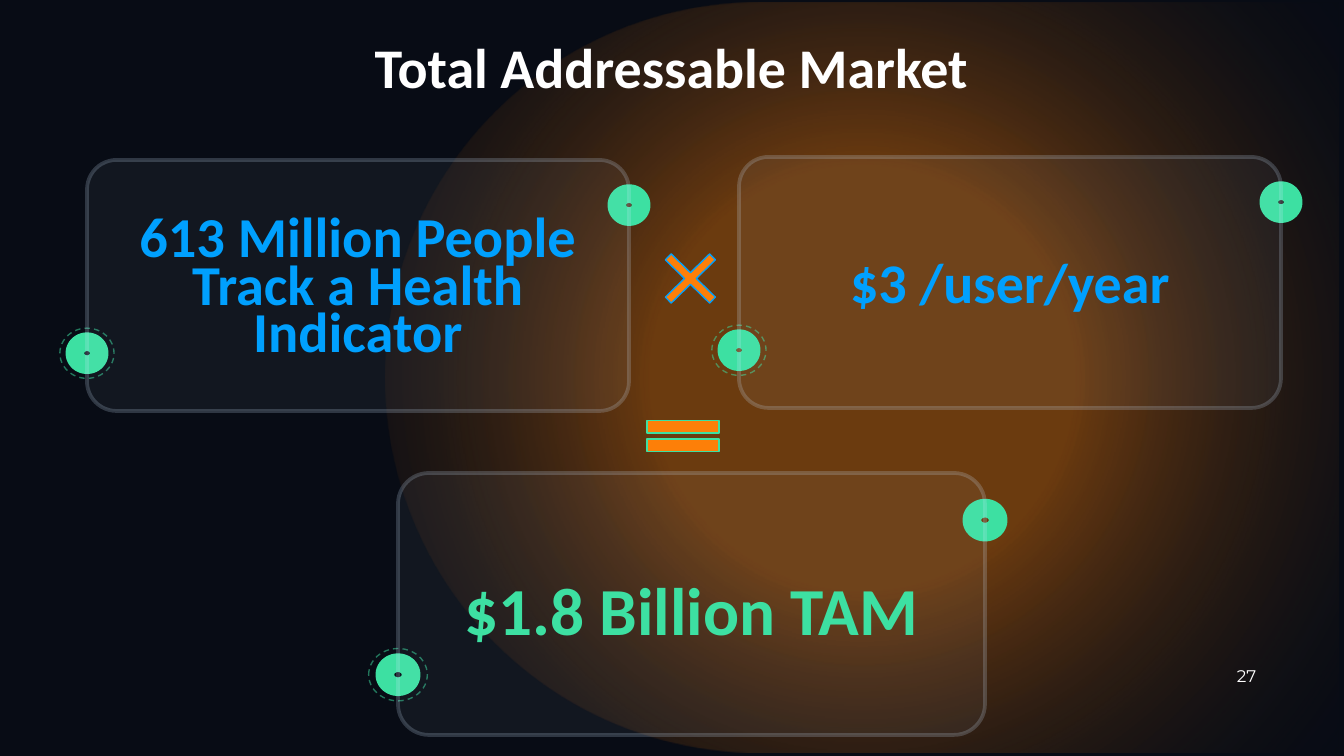
from dataclasses import dataclass
from typing import Optional

from pptx import Presentation
from pptx.dml.color import RGBColor
from pptx.enum.dml import MSO_LINE_DASH_STYLE as Dash
from pptx.enum.shapes import MSO_SHAPE as Shape
from pptx.enum.text import MSO_ANCHOR as Anchor, MSO_AUTO_SIZE as AutoSize, PP_ALIGN as Align
from pptx.oxml import parse_xml
from pptx.oxml.ns import nsdecls, qn
from pptx.util import Emu, Pt

WIDTH, HEIGHT = 1344, 756
SCALE = 9144000 / WIDTH
NIGHT, ORANGE, MINT, BLUE, ICE, WHITE = "080C15", "FD7F08", "3DE0A2", "00A0FE", "CDE6FF", "FFFFFF"


@dataclass
class Card:
    left: int
    top: int
    width: int
    height: int
    text_top: int
    text: str
    size: float
    color: str
    spacing: float
    placeholder: int


CARDS = [
    Card(87, 160, 542, 251, 219, "613 Million People Track a Health Indicator", 30.2, BLUE, 0.7, 1),
    Card(739, 157, 542, 251, 213, "$3 /user/year", 30, BLUE, 0.9, 3),
    Card(398, 473, 587, 262, 539, "$1.8 Billion TAM", 36, MINT, 0.9, 2),
]


def px(length: float) -> Emu:
    return Emu(round(length * SCALE))


def color(value: str) -> RGBColor:
    return RGBColor.from_string(value)


def set_alpha(parent, percent: int) -> None:
    node = parent.find(".//" + qn("a:srgbClr"))
    node.append(parse_xml(f'<a:alpha {nsdecls("a")} val="{percent * 1000}"/>'))


def draw(shapes, kind, left: float, top: float, width: float, height: float,
         fill: Optional[str] = None, line: Optional[str] = None, weight: float = 0.75,
         fill_alpha: int = 100, line_alpha: int = 100):
    shape = shapes.add_shape(kind, px(left), px(top), px(width), px(height))
    shape.shadow.inherit = False
    if fill:
        shape.fill.solid()
        shape.fill.fore_color.rgb = color(fill)
        if fill_alpha < 100:
            set_alpha(shape.element.spPr.find(qn("a:solidFill")), fill_alpha)
    else:
        shape.fill.background()
    if line:
        shape.line.color.rgb = color(line)
        shape.line.width = Pt(weight)
        if line_alpha < 100:
            set_alpha(shape.element.spPr.find(qn("a:ln")), line_alpha)
    else:
        shape.line.fill.background()
    return shape


def draw_glow(page) -> None:
    glow = draw(page.shapes, Shape.ROUND_2_SAME_RECTANGLE, 487, -99, 750, 953)
    glow.adjustments[0] = 0.5
    glow.adjustments[1] = 0
    glow.rotation = 270
    stops = "".join(
        f'<a:gs pos="{at * 1000}"><a:srgbClr val="{tone}"><a:alpha val="{alpha * 1000}"/></a:srgbClr></a:gs>'
        for at, tone, alpha in [(0, ORANGE, 40), (35, ORANGE, 40), (100, NIGHT, 6)]
    )
    gradient = parse_xml(
        f'<a:gradFill {nsdecls("a")} rotWithShape="1"><a:gsLst>{stops}</a:gsLst>'
        '<a:path path="circle"><a:fillToRect l="50000" t="50000" r="50000" b="50000"/></a:path></a:gradFill>'
    )
    properties = glow.element.spPr
    properties.replace(properties.find(qn("a:noFill")), gradient)


def write(page, box, text: str, left: float, top: float, width: float, height: float,
          size: float, tone: str, font: str = "Calibri", bold: bool = True, spacing: float = 0.9,
          anchor=Anchor.MIDDLE, insets: tuple[int, int, int, int] = (0, 0, 0, 0)) -> None:
    box.left, box.top, box.width, box.height = px(left), px(top), px(width), px(height)
    page.shapes.element.append(box.element)
    frame = box.text_frame
    frame.word_wrap = True
    frame.auto_size = AutoSize.NONE
    frame.vertical_anchor = anchor
    frame.margin_left, frame.margin_top, frame.margin_right, frame.margin_bottom = map(px, insets)
    frame.text = text
    para = frame.paragraphs[0]
    properties = para._p.get_or_add_pPr()
    properties.set("marL", "0")
    properties.set("indent", "0")
    properties.append(parse_xml(f'<a:buNone {nsdecls("a")}/>'))
    para.alignment = Align.CENTER
    para.line_spacing = spacing
    para.space_before = Pt(0)
    para.font.name = font
    para.font.size = Pt(size)
    para.font.bold = bold
    para.font.color.rgb = color(tone)


def draw_node(shapes, card: Card, x: float, y: float, ringed: bool) -> None:
    width, height = card.width * 0.045, card.height * 0.092
    draw(shapes, Shape.OVAL, x - width / 2, y - height / 2, width, height, line=MINT, weight=10)
    if ringed:
        width, height = card.width * 0.1, card.height * 0.2
        ring = draw(shapes, Shape.OVAL, x - width / 2, y - height / 2, width, height,
                    line=MINT, line_alpha=50)
        ring.line.dash_style = Dash.DASH


def draw_card(page, card: Card) -> None:
    pair = page.shapes.add_group_shape()
    draw_node(pair.shapes, card, card.left, card.top + card.height * 0.77, True)
    draw_node(page.shapes, card, card.left + card.width, card.top + card.height * 0.18, False)
    panel = draw(page.shapes, Shape.ROUNDED_RECTANGLE, card.left, card.top, card.width, card.height,
                 ICE, ICE, 2, 5, 20)
    panel.adjustments[0] = 0.118
    write(page, page.placeholders[card.placeholder], card.text,
          card.left, card.text_top, card.width, card.height * 0.455,
          card.size, card.color, spacing=card.spacing, insets=(20, 30, 20, 0))


def main() -> None:
    deck = Presentation()
    deck.slide_width, deck.slide_height = px(WIDTH), px(HEIGHT)
    page = deck.slides.add_slide(deck.slide_layouts[4])
    page.background.fill.solid()
    page.background.fill.fore_color.rgb = color(NIGHT)
    spare = page.placeholders[4].element
    spare.getparent().remove(spare)

    draw_glow(page)
    write(page, page.shapes.title, "Total Addressable Market", 314, 40, 715, 60, 30, WHITE,
          anchor=Anchor.TOP)
    for card in CARDS:
        draw_card(page, card)

    number = page.shapes.add_textbox(0, 0, 0, 0)
    write(page, number, "27", 1227, 656, 39, 40, 9, WHITE, "Montserrat", False, 1,
          insets=(5, 3, 5, 3))

    times = draw(page.shapes, Shape.MATH_MULTIPLY, 648, 237, 85, 83, ORANGE, BLUE)
    times.adjustments[0] = 0.1
    equals = draw(page.shapes, Shape.MATH_EQUAL, 634, 410, 98, 52, ORANGE, MINT)
    equals.adjustments[0] = 0.235
    equals.adjustments[1] = 0.118
    deck.save("out.pptx")


if __name__ == "__main__":
    main()
